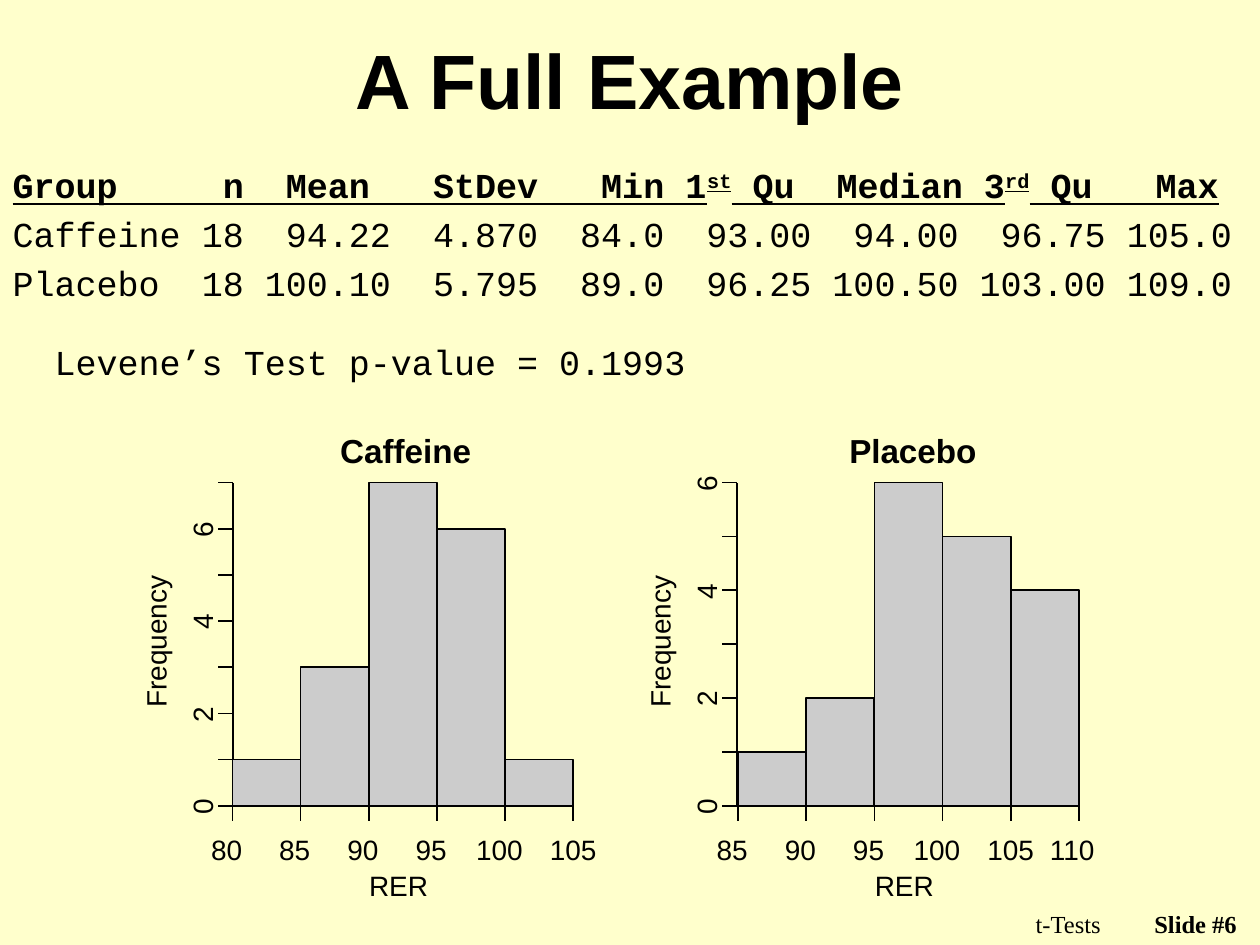
from lxml import etree
from pptx import Presentation, util as u
from pptx.dml.color import RGBColor
from pptx.enum import shapes, text
from pptx.oxml.ns import qn

BLACK, GREY, CREAM = "000000", "CCCCCC", "FFFFCC"
ARIAL, MONO, SERIF = "Arial", "Courier New", "Times New Roman"
LEFT, CENTER, RIGHT = (text.PP_ALIGN.LEFT, text.PP_ALIGN.CENTER,
                       text.PP_ALIGN.RIGHT)
CHAR = u.Pt(12)

HEADER = [("{:9}{:>2}{:>6}{:>8}{:>6}{:>2}".format("Group", "n", "Mean", "StDev", "Min", "1"), 0),
          ("st", 30), ("{:3}{:>8}{:>2}".format(" Qu", "Median", "3"), 0),
          ("rd", 30), ("{:3}{:>6}".format(" Qu", "Max"), 0)]
ROW = "{:9}{:>3}{:>7}{:>7}{:>6}{:>7}{:>7}{:>7}{:>6}"
ROWS = [
    ("Caffeine", "18", "94.22", "4.870", "84.0", "93.00", "94.00", "96.75", "105.0"),
    ("Placebo", "18", "100.10", "5.795", "89.0", "96.25", "100.50", "103.00", "109.0"),
]
ROW = "{:9}{:>2}{:>7}{:>7}{:>6}{:>7}{:>7}{:>7}{:>6}"


def rgb(value):
    """Turn a hex string into a colour."""
    return RGBColor.from_string(value)


def assign(obj, values):
    """Set attributes of an object from a dict."""
    for name, value in values.items():
        setattr(obj, name, value)


class Deck:
    """Hold the style and current slide, on a grid of 100 columns by 75 rows."""

    def __init__(self):
        """Start a one-slide deck with a title and a body."""
        self.prs = Presentation()
        assign(self.prs, {"slide_width": u.Inches(10), "slide_height": u.Inches(7.5)})
        self.s = self.prs.slides.add_slide(self.prs.slide_layouts[1])
        fill = self.s.background.fill
        fill.solid()
        fill.fore_color.rgb = rgb(CREAM)

    def grid(self, *values):
        """Convert grid units to lengths."""
        return [int(self.prs.slide_width * v / 100) for v in values]

    def place(self, sp, box):
        """Move a shape to a box given as left, top, width, height."""
        assign(sp, dict(zip(("left", "top", "width", "height"), self.grid(*box))))

    def run(self, p, words, size, font, bold=False, underline=False, raised=0):
        """Add a formatted run to a paragraph."""
        r = p.add_run()
        r.text = words
        assign(r.font, {"size": u.Pt(size), "name": font, "bold": bold,
                        "underline": underline})
        r.font.color.rgb = rgb(BLACK)
        if raised:
            r.font._element.set("baseline", str(raised * 1000))

    def title(self, box, words):
        """Fill the title placeholder."""
        sp = self.s.shapes.title
        self.place(sp, box)
        sp.text_frame.vertical_anchor = text.MSO_ANCHOR.MIDDLE
        p = sp.text_frame.paragraphs[0]
        p.alignment = CENTER
        self.run(p, words, 44, ARIAL, bold=True)

    def body(self, box, lines):
        """Fill the body placeholder with lines of runs, indent and gap."""
        sp = self.s.placeholders[1]
        self.place(sp, box)
        tf = sp.text_frame
        tf.auto_size = text.MSO_AUTO_SIZE.NONE
        for i, (runs, indent, gap) in enumerate(lines):
            p = tf.add_paragraph() if i else tf.paragraphs[0]
            for words, raised in runs:
                self.run(p, words, 20, MONO, i == 0, i == 0, raised)
            if gap:
                p.space_before = u.Pt(gap)
            pPr = p._p.get_or_add_pPr()
            pPr.set("marL", str(int(indent * CHAR)))
            pPr.set("indent", "0")
            etree.SubElement(pPr, qn("a:buNone"))

    def footer(self, box, words, bold=False):
        """Add a right-aligned footer text."""
        tf = self.s.shapes.add_textbox(*self.grid(*box)).text_frame
        tf.word_wrap = True
        tf.paragraphs[0].alignment = RIGHT
        self.run(tf.paragraphs[0], words, 14, SERIF, bold)

    def label(self, box, words, size=16, bold=False, rotation=0):
        """Add a chart label without margins."""
        sp = self.s.shapes.add_textbox(*self.grid(*box))
        sp.rotation = rotation
        tf = sp.text_frame
        assign(tf, {"margin_left": 0, "margin_right": 0, "margin_top": 0,
                    "margin_bottom": 0, "word_wrap": False,
                    "auto_size": text.MSO_AUTO_SIZE.SHAPE_TO_FIT_TEXT})
        tf.paragraphs[0].alignment = LEFT
        self.run(tf.paragraphs[0], words, size, ARIAL, bold)

    def line(self, x1, y1, x2, y2):
        """Add a thin straight line."""
        c = self.s.shapes.add_connector(shapes.MSO_CONNECTOR.STRAIGHT,
                                        *self.grid(x1, y1, x2, y2))
        c.line.color.rgb = rgb(BLACK)
        c.line.width = u.Pt(1)
        etree.SubElement(c._element.spPr, qn("a:effectLst"))

    def bar(self, box):
        """Add one histogram bar."""
        sp = self.s.shapes.add_shape(shapes.MSO_SHAPE.RECTANGLE, *self.grid(*box))
        sp.shadow.inherit = False
        sp.fill.solid()
        sp.fill.fore_color.rgb = rgb(GREY)
        sp.line.color.rgb = rgb(BLACK)
        sp.line.width = u.Pt(1)

    def histogram(self, x0, axis, heading, heading_box, start, counts):
        """Draw a histogram with bins of five from its left edge and y axis."""
        base, height, step, tick = 63.95, 25.65, 5.41, 1.2
        unit = height / max(counts)
        self.label(heading_box, heading, 19, bold=True)
        self.label((x0 + 10.85, 68.9, 5.4, 2.8), "RER")
        self.label((axis - 11.5, 49.35, 10.8, 2.8), "Frequency", rotation=270)
        self.line(x0, base, x0 + step * len(counts), base)
        for i in range(len(counts) + 1):
            x, name = x0 + i * step, str(start + 5 * i)
            width = 3.7 if name == "105" else 3.4 if len(name) == 2 else 4.6
            self.line(x, base, x, base + tick)
            self.label((x - width / 2, 66.1, width, 2.8), name)
        self.line(axis, base, axis, base - height)
        for n in range(max(counts) + 1):
            y = base - n * unit
            self.line(axis, y, axis - tick, y)
            if n % 2 == 0:
                self.label((axis - 3.5, y - 1.8, 2.2, 2.8), str(n), rotation=270)
        for i, n in enumerate(counts):
            self.bar((x0 + i * step, base - n * unit, step, n * unit))


def main():
    """Build and save the slide."""
    deck = Deck()
    deck.title((7.5, 1.65, 85, 9.2), "A Full Example")
    lines = [(HEADER, 0, None)]
    lines += [([(ROW.format(*row), 0)], 0, None) for row in ROWS]
    lines.append(([("Levene’s Test p-value = 0.1993", 0)], 2, 21))
    deck.body((0, 12.5, 100, 20), lines)
    deck.footer((56.65, 71.65, 31.7, 2.5), "t-Tests")
    deck.footer((88.35, 71.65, 10.8, 1.7), "Slide #6", bold=True)
    deck.histogram(18.45, 18.5, "Caffeine", (27, 34.15, 11.9, 3.9), 80, (1, 3, 7, 6, 1))
    deck.histogram(58.58, 58.5, "Placebo", (67.4, 34.15, 11.5, 3.9), 85, (1, 2, 6, 5, 4))
    deck.prs.save("out.pptx")


if __name__ == "__main__":
    main()
